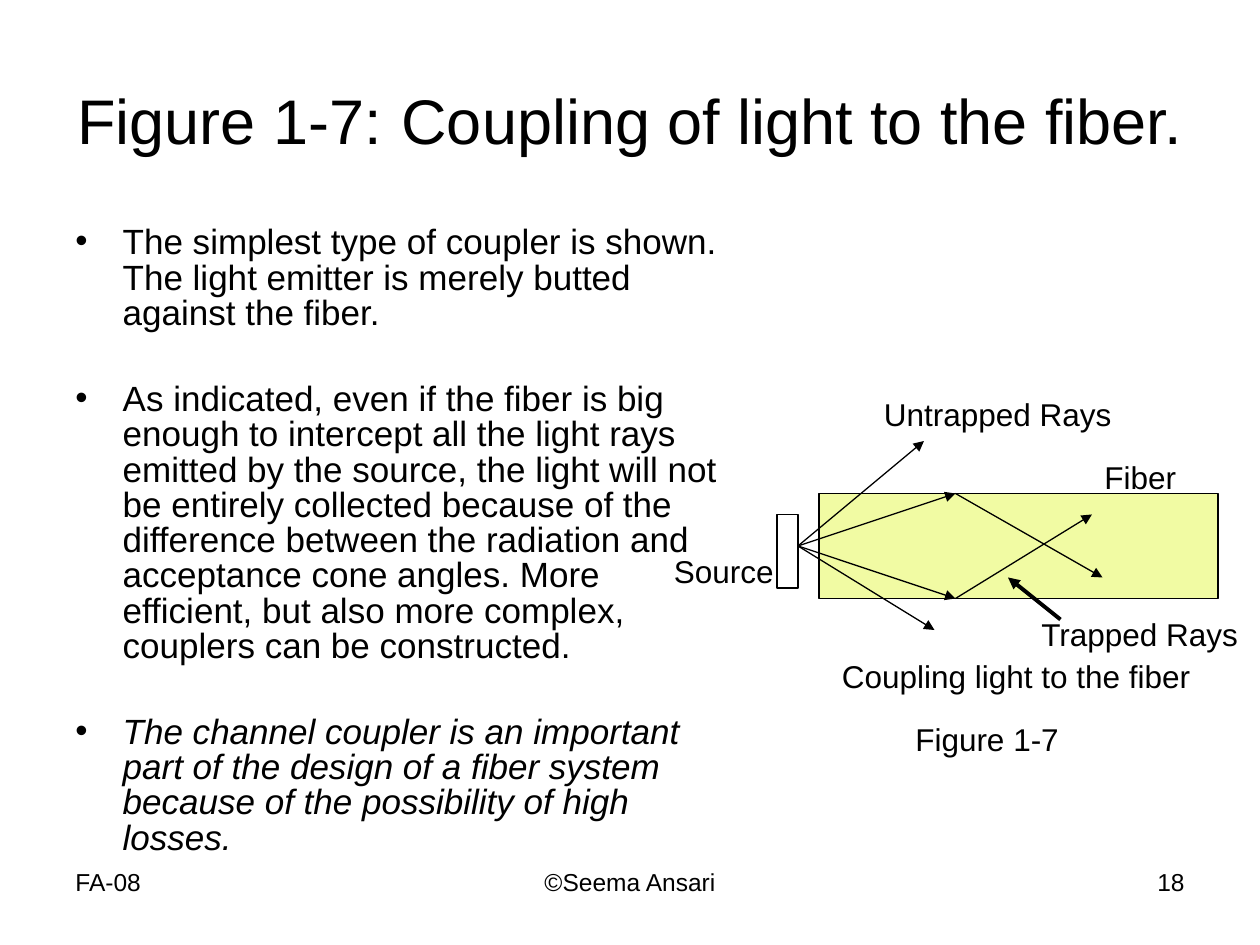
from dataclasses import dataclass
from typing import NamedTuple

from lxml.etree import SubElement
from pptx import Presentation
from pptx.dml.color import RGBColor
from pptx.enum.shapes import MSO_CONNECTOR as Connector, MSO_SHAPE as Shape
from pptx.enum.text import MSO_ANCHOR as Anchor, PP_ALIGN as Align
from pptx.oxml.ns import qn
from pptx.util import Pt


class Box(NamedTuple):
    left: float
    top: float
    width: float
    height: float


@dataclass(frozen=True)
class Theme:
    font: str = "Arial"
    ink: RGBColor = RGBColor(0, 0, 0)
    fiber: RGBColor = RGBColor(0xF1, 0xFB, 0xA3)
    title: float = 36
    title_gap: float = 40
    body: float = 20
    label: float = 18
    footer: float = 14
    thin: float = 0.75
    thick: float = 2.25


THEME = Theme()
CELL = 6

POINTS = [
    ("The simplest type of coupler is shown. The light emitter is merely "
     "butted against the fiber.", False),
    ("As indicated, even if the fiber is big enough to intercept all the "
     "light rays emitted by the source, the light will not be entirely "
     "collected because of the difference between the radiation and "
     "acceptance cone angles. More efficient, but also more complex, "
     "couplers can be constructed.", False),
    ("The channel coupler is an important part of the design of a fiber "
     "system because of the possibility of high losses.", True),
]
EMITTER, UPPER_WALL, LOWER_WALL = (13, 15), (28, 10), (28, 20)
RAYS = [
    (EMITTER, (25, 5)),
    (EMITTER, (26, 23)),
    (EMITTER, UPPER_WALL),
    (EMITTER, LOWER_WALL),
    (LOWER_WALL, (41, 12)),
    (UPPER_WALL, (42, 18)),
]
LABELS = [
    ("Coupling light to the fiber", 16, 25, 37),
    ("Untrapped Rays", 20, 0, 31),
    ("Fiber", 41, 6, 12),
    ("Source", 0, 15, 12),
    ("Trapped Rays", 35, 21, 22),
    ("Figure 1-7", 23, 31, 18),
]


def set_font(paragraph, size, italic=False):
    font = paragraph.font
    font.name, font.size, font.italic = THEME.font, Pt(size), italic
    font.color.rgb = THEME.ink


def add_frame(slide, box, anchor=Anchor.TOP):
    frame = slide.shapes.add_textbox(*map(Pt, box)).text_frame
    frame.word_wrap = True
    frame.vertical_anchor = anchor
    return frame


def add_text(slide, box, text, size, align=Align.LEFT):
    paragraph = add_frame(slide, box).paragraphs[0]
    paragraph.text = text
    paragraph.alignment = align
    set_font(paragraph, size)


def add_title(slide, box):
    heading = add_frame(slide, box, Anchor.MIDDLE).paragraphs[0]
    heading.alignment = Align.CENTER
    set_font(heading, THEME.title)
    heading.add_run().text = "Figure 1-7:"
    gap = heading.add_run()
    gap.text = " "
    gap.font.size = Pt(THEME.title_gap)
    heading.add_run().text = "Coupling of light to the fiber."


def add_points(slide, box):
    frame = add_frame(slide, box)
    for index, (text, italic) in enumerate(POINTS):
        point = frame.add_paragraph() if index else frame.paragraphs[0]
        point.text = text
        point.line_spacing = 0.84
        if index:
            point.space_before = Pt(29)
        properties = point._p.get_or_add_pPr()
        properties.set("marL", str(Pt(27)))
        properties.set("indent", str(Pt(-27)))
        SubElement(properties, qn("a:buFont"), typeface=THEME.font)
        SubElement(properties, qn("a:buChar"), char="•")
        set_font(point, THEME.body, italic)


def add_arrow(slide, start, end, weight):
    arrow = slide.shapes.add_connector(
        Connector.STRAIGHT, *map(Pt, (*start, *end)))
    arrow.line.color.rgb = THEME.ink
    arrow.line.width = Pt(weight)
    SubElement(arrow.line._get_or_add_ln(), qn("a:tailEnd"), type="triangle")
    SubElement(arrow._element.spPr, qn("a:effectLst"))


def add_block(slide, box, fill=None):
    block = slide.shapes.add_shape(Shape.RECTANGLE, *map(Pt, box))
    block.shadow.inherit = False
    if fill is None:
        block.fill.background()
    else:
        block.fill.solid()
        block.fill.fore_color.rgb = fill
    block.line.color.rgb = THEME.ink
    block.line.width = Pt(THEME.thin)


def add_coupling_diagram(slide, box):
    def at(column, row):
        return box.left + column * CELL, box.top + row * CELL

    add_block(slide, Box(*at(15, 10), 38 * CELL, 10 * CELL), THEME.fiber)
    for start, end in RAYS:
        add_arrow(slide, at(*start), at(*end), THEME.thin)
    add_block(slide, Box(*at(11, 12), 2 * CELL, 7 * CELL))
    for text, column, row, columns in LABELS:
        add_text(slide, Box(*at(column, row), columns * CELL, 29),
                 text, THEME.label)
    add_arrow(slide, at(38, 22), at(33, 18), THEME.thick)


def add_footer(slide, box):
    parts = [
        ("FA-08", 168, 0, Align.LEFT),
        ("©Seema Ansari", 228, 0.5, Align.CENTER),
        ("18", 168, 1, Align.RIGHT),
    ]
    for text, width, share, align in parts:
        left = box.left + (box.width - width) * share
        add_text(slide, Box(left, box.top, width, box.height),
                 text, THEME.footer, align)


def main():
    deck = Presentation()
    deck.slide_width, deck.slide_height = Pt(720), Pt(540)
    slide = deck.slides.add_slide(deck.slide_layouts[6])
    add_title(slide, Box(36, 21.6, 648, 90))
    add_points(slide, Box(36, 126, 384, 356.4))
    add_coupling_diagram(slide, Box(378, 222, 342, 216))
    add_footer(slide, Box(36, 492, 648, 37.5))
    deck.save("out.pptx")


if __name__ == "__main__":
    main()
